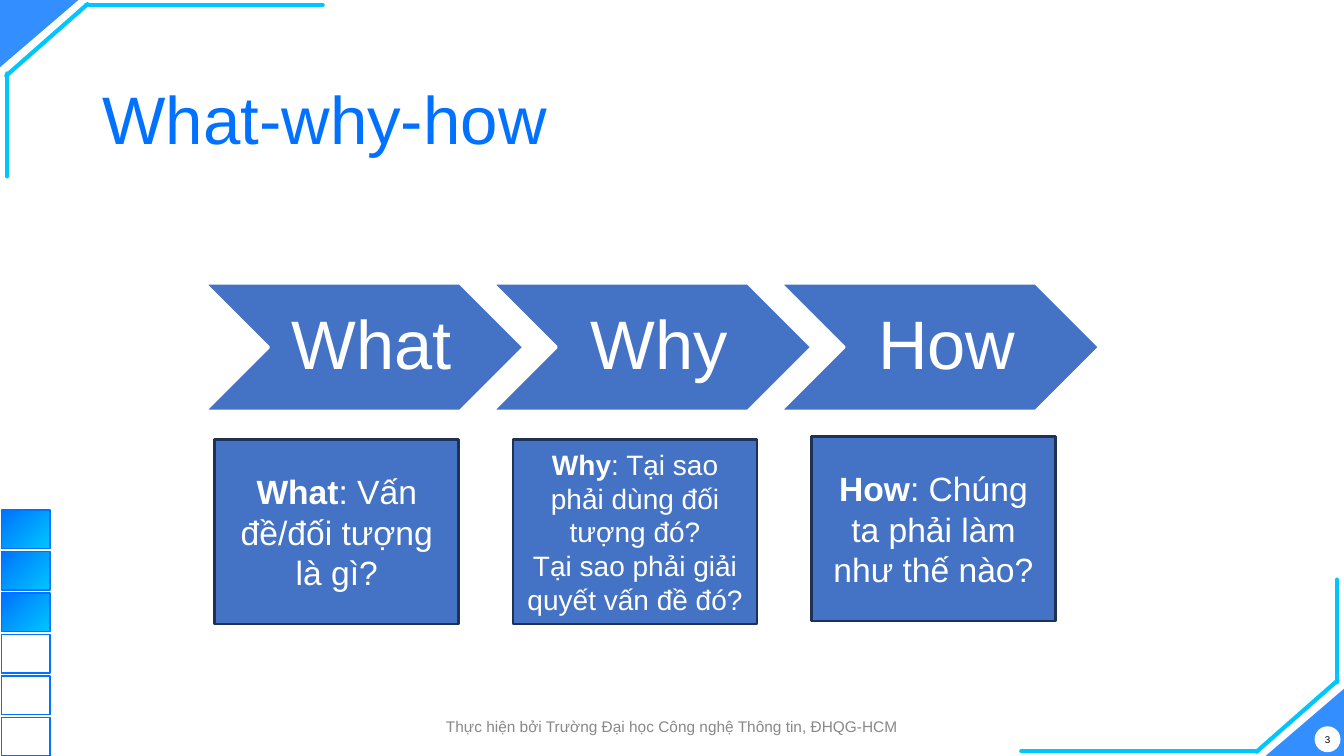
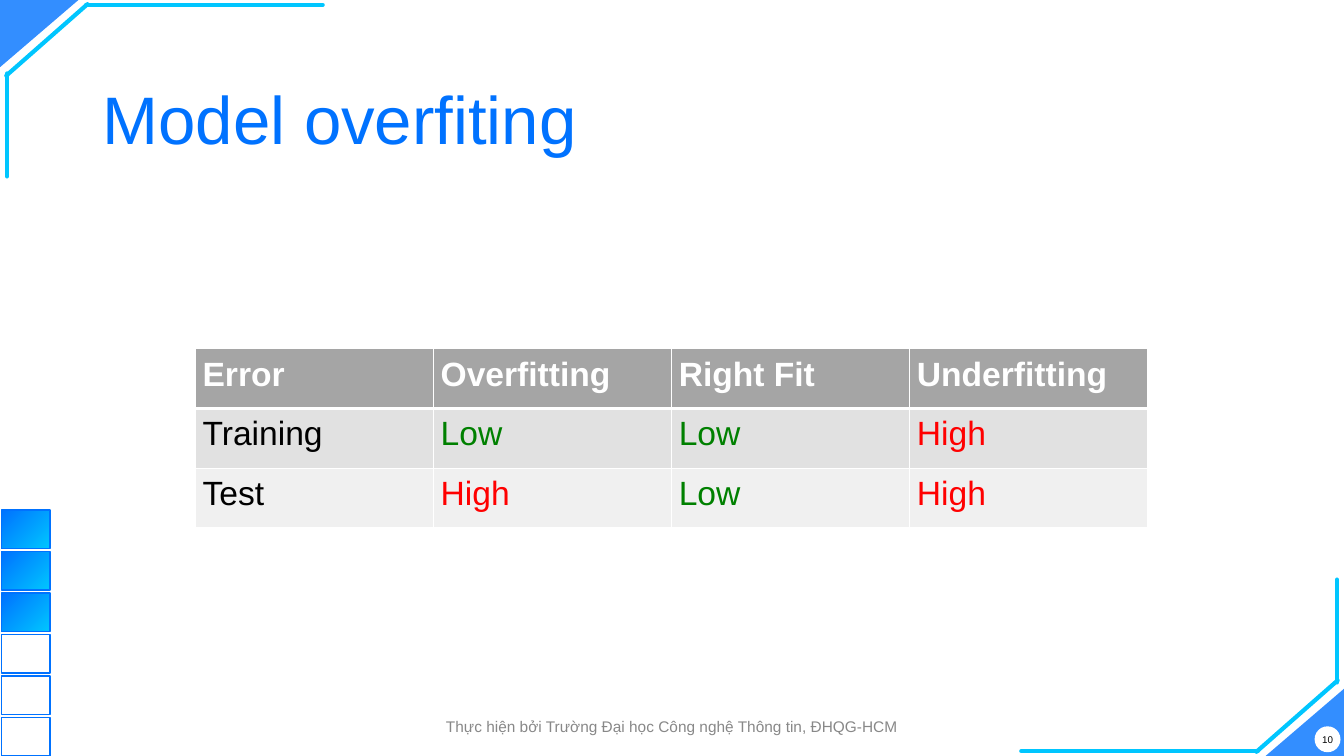
from lxml import etree
from pptx import Presentation
from pptx.dml.color import RGBColor
from pptx.enum.shapes import MSO_CONNECTOR, MSO_SHAPE
from pptx.enum.text import MSO_ANCHOR, MSO_AUTO_SIZE, PP_ALIGN
from pptx.oxml.ns import qn
from pptx.util import Pt

RECT, OVAL = MSO_SHAPE.RECTANGLE, MSO_SHAPE.OVAL
WEDGE, ARROW = MSO_SHAPE.RIGHT_TRIANGLE, MSO_SHAPE.CHEVRON
CORNER = MSO_SHAPE.ISOSCELES_TRIANGLE
STRAIGHT = MSO_CONNECTOR.STRAIGHT
MIDDLE, FIXED = MSO_ANCHOR.MIDDLE, MSO_AUTO_SIZE.NONE
LEFT, CENTER = PP_ALIGN.LEFT, PP_ALIGN.CENTER

WIDE, HIGH = 960, 540
FONT = "Arial"
BLUE, CYAN, STEEL, NAVY = "0072FF", "00C6FF", "4472C4", "1E3256"
WHITE, BLACK, GRAY = "FFFFFF", "000000", "888888"
GREEN, RED = "008000", "FF0000"
HEAD, BANDS = "A5A5A5", ("E1E1E1", "F0F0F0")
INSET = (7.2, 3.6, 7.2, 3.6)
FOOTER = "Thực hiện bởi Trường Đại học Công nghệ Thông tin, ĐHQG-HCM"


def paint(tone):
    return RGBColor.from_string(tone)


def points(values):
    return [Pt(value) for value in values]


def add_runs(para, runs, size, tone):
    for text, bold in runs:
        run = para.add_run()
        run.text = text
        font = run.font
        font.name, font.size, font.bold = FONT, Pt(size), bold
        font.color.rgb = paint(tone)


def write(frame, paras, size, tone, align=CENTER, inset=INSET, space=1.0):
    frame.word_wrap = True
    frame.auto_size = FIXED
    frame.vertical_anchor = MIDDLE
    (frame.margin_left, frame.margin_top,
     frame.margin_right, frame.margin_bottom) = points(inset)
    for index, runs in enumerate(paras):
        para = frame.add_paragraph() if index else frame.paragraphs[0]
        para.alignment, para.line_spacing = align, space
        add_runs(para, runs, size, tone)


def add_box(slide, kind, spot, fill=None, line=None, width=1):
    shape = slide.shapes.add_shape(kind, *points(spot))
    shape.shadow.inherit = False
    if fill:
        shape.fill.solid()
        shape.fill.fore_color.rgb = paint(fill)
    else:
        shape.fill.background()
    if line:
        shape.line.color.rgb = paint(line)
        shape.line.width = Pt(width)
    else:
        shape.line.fill.background()
    return shape


def add_line(slide, start, end):
    line = slide.shapes.add_connector(STRAIGHT, *points(start + end))
    line.line.color.rgb = paint(CYAN)
    line.line.width = Pt(3)
    props = line.element.spPr
    props.find(qn("a:ln")).set("cap", "rnd")
    etree.SubElement(props, qn("a:effectLst"))


def add_corner(slide, turned):
    def turn(x, y):
        return (WIDE - x, HIGH - y) if turned else (x, y)

    wide, high = 56, 48
    spot = (WIDE - wide, HIGH - high) if turned else (0, 0)
    shape = add_box(slide, CORNER, spot + (wide, high), BLUE)
    shape.adjustments[0] = 1
    shape.rotation = 0 if turned else 180
    tone = shape.element.spPr.find(qn("a:solidFill"))[0]
    etree.SubElement(tone, qn("a:alpha")).set("val", "80000")
    for start, end in (((230.5, 3.5), (61.5, 3.5)),
                       ((62.5, 3), (4.5, 54)),
                       ((5, 126), (5, 52.5))):
        add_line(slide, turn(*start), turn(*end))


def add_steps(slide, count, done):
    for index in range(count):
        spot = (1.2, 364.3 + index * 29.66, 34.5, 27.5)
        step = add_box(slide, RECT, spot, line=BLUE)
        if index < done:
            step.fill.gradient()
            step.fill.gradient_angle = 315
            for stop, tone in zip(step.fill.gradient_stops, (BLUE, CYAN)):
                stop.color.rgb = paint(tone)


def add_slide(deck, title, number):
    slide = deck.slides.add_slide(deck.slide_layouts[5])
    slide.background.fill.solid()
    slide.background.fill.fore_color.rgb = paint(WHITE)
    head = slide.shapes.title
    head.left, head.top, head.width, head.height = points((66, 49, 828, 77))
    write(head.text_frame, [[(title, False)]], 48, BLUE, LEFT, space=0.9)
    for turned in (False, True):
        add_corner(slide, turned)
    add_steps(slide, 6, 3)
    badge = add_box(slide, OVAL, (939, 518.8, 18.5, 18.5), WHITE)
    write(badge.text_frame, [[(number, False)]], 7, BLACK, inset=(0, 0, 0, 0))
    badge.text_frame.word_wrap = False
    foot = slide.shapes.add_textbox(*points((273, 509, 414, 20)))
    write(foot.text_frame, [[(FOOTER, False)]], 11, GRAY)
    return slide


def add_arrows(slide, words):
    for index, word in enumerate(words):
        spot = (146.2 + index * 205.6, 202.3, 228, 91.4)
        arrow = add_box(slide, ARROW, spot, STEEL, WHITE, 2)
        write(arrow.text_frame, [[(word, False)]], 49, WHITE,
              inset=(15, 5, 5, 5), space=0.9)


def add_cards(slide, cards):
    for index, (top, size, paras) in enumerate(cards):
        spot = (153.4 + index * 213.1, top, 174.3, 131.8)
        card = add_box(slide, RECT, spot, STEEL, NAVY, 2)
        write(card.text_frame, paras, size, WHITE)


def add_edges(cell, **widths):
    props = cell._tc.get_or_add_tcPr()
    for side in "LRTB":
        edge = etree.SubElement(props, qn("a:ln" + side))
        edge.set("w", str(Pt(widths.get(side, 1))))
        fill = etree.SubElement(edge, qn("a:solidFill"))
        etree.SubElement(fill, qn("a:srgbClr")).set("val", WHITE)


def add_grid(slide, rows, spot):
    frame = slide.shapes.add_table(len(rows), len(rows[0]), *points(spot))
    tones = {"Low": GREEN, "High": RED}
    for down, row in enumerate(rows):
        for across, text in enumerate(row):
            cell = frame.table.cell(down, across)
            top = down == 0
            add_edges(cell, B=3 if top else 1, T=3 if down == 1 else 1)
            cell.fill.solid()
            cell.fill.fore_color.rgb = paint(HEAD if top else BANDS[down - 1])
            cell.margin_left = cell.margin_right = Pt(5)
            cell.margin_top = cell.margin_bottom = Pt(5)
            tone = WHITE if top else tones.get(text, BLACK)
            add_runs(cell.text_frame.paragraphs[0], [(text, top)], 24, tone)


def main():
    deck = Presentation()
    deck.slide_width, deck.slide_height = points((WIDE, HIGH))

    slide = add_slide(deck, "What-why-how", "3")
    add_arrows(slide, ("What", "Why", "How"))
    add_cards(slide, (
        (313.9, 24, [[("What", True), (": Vấn đề/đối tượng là gì?", False)]]),
        (313.9, 20, [[("Why", True),
                      (": Tại sao phải dùng đối tượng đó?", False)],
                     [("Tại sao phải giải quyết vấn đề đó?", False)]]),
        (311.8, 24, [[("How", True),
                      (": Chúng ta phải làm như thế nào?", False)]]),
    ))

    slide = add_slide(deck, "Model overfiting", "10")
    add_grid(slide, (
        ("Error", "Overfitting", "Right Fit", "Underfitting"),
        ("Training", "Low", "Low", "High"),
        ("Test", "High", "Low", "High"),
    ), (139.7, 249.1, 680.4, 128.1))

    deck.save("out.pptx")


if __name__ == "__main__":
    main()
